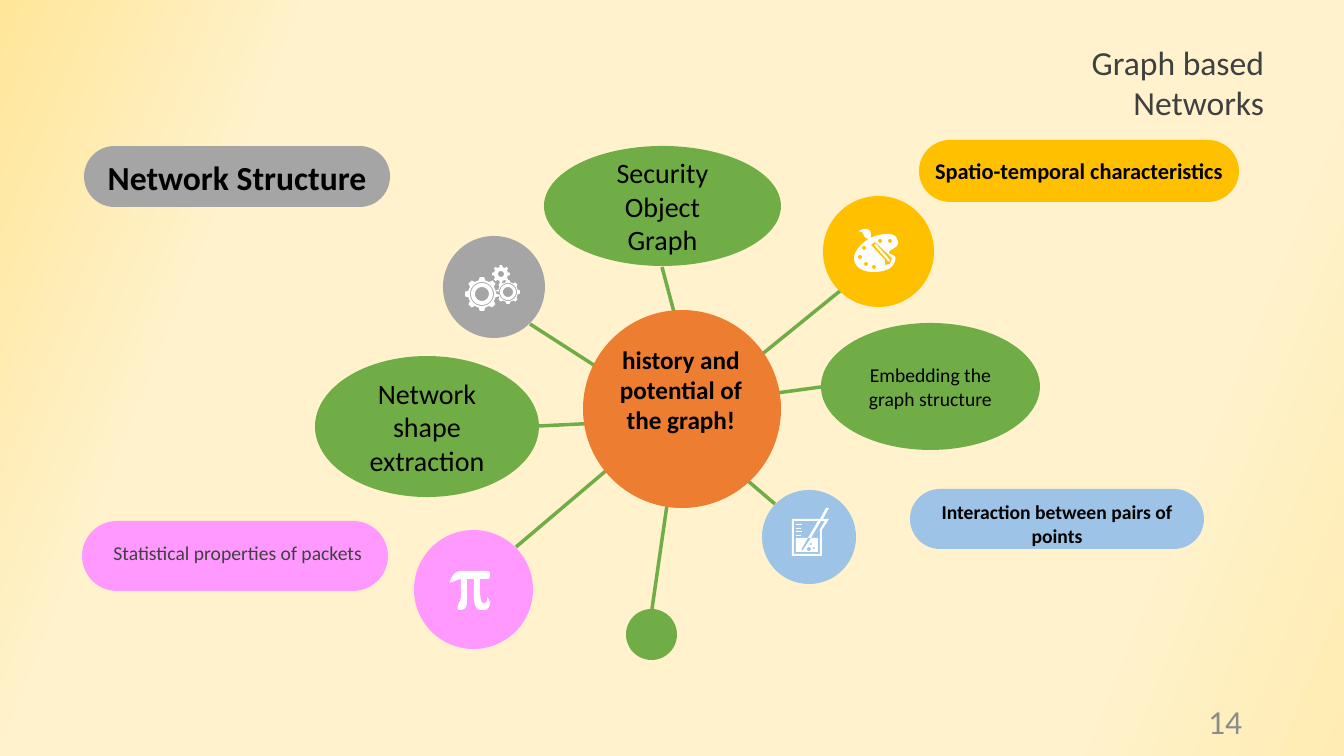
"""Build the graph based networks mind map slide."""
import copy
import math

import pptx
import pptx.dml.color
import pptx.enum.shapes
import pptx.enum.text
import pptx.oxml
import pptx.oxml.ns
import pptx.util

PX = 12192000 / 1344
FINE = 20
COLORS = {
    "green": "70AD47", "orange": "ED7D31", "gold": "FFC000", "gray": "A5A5A5",
    "pink": "FF99FF", "blue": "9DC3E6", "white": "FFFFFF", "black": "000000",
    "dark": "404040", "number": "8C8C8C",
}
BACKGROUND = [(0, "FFE699"), (0.19, "FFF2CC"), (0.83, "FFF2CC"), (1, "FFECB2")]
BACKGROUND_ANGLE = 22

SPOKES = [
    (662, 267, 699, 406), (821, 387, 644, 411), (840, 291, 681, 420),
    (530, 324, 670, 414), (516, 547, 647, 436), (682, 419, 539, 426),
    (681, 408, 652, 609), (673, 417, 775, 504),
]
NODES = [
    ((583, 310, 198, 198), "orange", "", 0),
    ((823, 196, 111, 111), "gold", "", 0),
    ((443, 236, 102, 102), "gray", "", 0),
    ((414, 530, 119, 119), "pink", "", 0),
    ((762, 490, 94, 94), "blue", "", 0),
    ((821, 323, 219, 127), "green", "Embedding the graph structure", 14),
    ((315, 356, 224, 141), "green", "Network shape extraction", 20),
    ((626, 609, 51, 51), "green", "", 0),
    ((544, 146, 237, 120), "green", "Security Object Graph", 20),
]
PILLS = [
    ((919, 140, 320, 62), "gold"), ((910, 489, 294, 60), "blue"),
    ((82, 521, 306, 70), "pink"), ((84, 146, 306, 61), "gray"),
]
LABELS = [
    ((950, 701, 302, 40), "14", 24, "number", "RIGHT", "MIDDLE", False),
    ((992, 36, 282, 92), "Graph based Networks", 24, "dark", "RIGHT", "MIDDLE", False),
    ((919, 152, 320, 37), "Spatio-temporal characteristics", 16, "black", "CENTER", "TOP", True),
    ((919, 495, 276, 58), "Interaction between pairs of points", 14, "black", "CENTER", "TOP", True),
    ((85, 536, 287, 34), "Statistical properties of packets", 14, "dark", "RIGHT", "TOP", False),
    ((94, 152, 286, 50), "Network Structure", 24, "black", "CENTER", "TOP", True),
    ((592, 339, 178, 102), "history and potential of the graph!", 18, "black", "CENTER", "TOP", True),
]

PALETTE = [
    [(887, 234), (891, 234, 896, 235, 897, 239), (902, 248, 889, 249, 889, 252),
     (888, 256, 898, 253, 895, 261), (893, 267, 890, 269, 883, 271),
     (875, 273, 859, 273, 855, 263), (851, 254, 860, 245, 867, 240),
     (873, 236, 881, 234, 887, 234)],
    [(865, 229), (871, 229, 871, 233, 871, 236), (871, 239, 866, 240, 864, 236),
     (863, 232, 862, 232, 858, 231), (861, 230, 863, 229, 865, 229)],
    [(871, 245), (875, 242), (892, 258), (890, 264), (885, 265), (885, 260)],
    [(876, 244), (890, 260), (889, 262), (874, 245)],
]
PAINT_WELLS = [(874, 267, 2), (866, 264, 2), (860, 257, 2),
               (864, 248, 2), (880, 241, 2), (890, 241, 2)]
PI_SIGN = [
    [(461, 571), (487, 571), (489, 571, 490, 572, 490, 574), (490, 576),
     (490, 578, 489, 579, 487, 579), (480, 579), (480, 589),
     (480, 593, 480, 595, 481, 600), (482, 606, 489, 603, 487, 597),
     (493, 602, 489, 611, 483, 610), (480, 610, 476, 611, 474, 601),
     (474, 579), (467, 579), (467, 602), (467, 608, 464, 610, 460, 610),
     (458, 610, 457, 609, 458, 606), (459, 601, 461, 601, 461, 596),
     (461, 579), (455, 580, 450, 584, 450, 582), (451, 577, 455, 571, 461, 571)],
]
BEAKER = [
    [(826, 508), (829, 508), (823, 519), (829, 519), (822, 530), (822, 556),
     (792, 556), (792, 519), (820, 519)],
    [(818, 521), (794, 521), (794, 554), (820, 554), (820, 529), (825, 521),
     (821, 521), (811, 538), (808, 538)],
    [(796, 538), (808, 538), (801, 550), (803, 550), (811, 538), (818, 538),
     (818, 552), (796, 552)],
]
BEAKER += [[(796, y), (right, y), (right, y + 1), (796, y + 1)]
           for y, right in [(524, 802), (528, 801), (531, 802), (535, 801)]]
BUBBLES = [(809, 549, 2), (811, 544, 1), (814, 548, 1)]
GEARS = [(482, 294, 17, 14, (12, 11, 7)), (508, 292, 12, 10, (9, 8, 5)),
         (501, 274, 9, 7, (3,))]
TEETH = 8


def rgb(name):
    return pptx.dml.color.RGBColor.from_string(COLORS[name])


def box(bounds):
    return [round(value * PX) for value in bounds]


def polar(x, y, radius, turn):
    angle = 2 * math.pi * turn
    return x + radius * math.cos(angle), y + radius * math.sin(angle)


def circle(x, y, radius):
    return [polar(x, y, radius, step / 24) for step in range(24)]


def gear(x, y, tip, root):
    profile = [(-0.3, root), (-0.17, tip), (0.17, tip), (0.3, root)]
    return [polar(x, y, radius, (tooth + offset) / TEETH)
            for tooth in range(TEETH) for offset, radius in profile]


def flatten(outline):
    points = []
    for part in outline:
        if len(part) == 2:
            points.append(part)
            continue
        nodes = [points[-1], part[:2], part[2:4], part[4:]]
        for step in range(1, 9):
            t = step / 8
            weights = [(1 - t) ** 3, 3 * t * (1 - t) ** 2, 3 * t * t * (1 - t), t ** 3]
            points.append(tuple(sum(w * node[axis] for w, node in zip(weights, nodes))
                                for axis in (0, 1)))
    return points


def paint(shape, color):
    shape.shadow.inherit = False
    shape.fill.solid()
    shape.fill.fore_color.rgb = rgb(color)
    shape.line.fill.background()


def write(shape, text, size, color="black", align="CENTER", anchor="MIDDLE", bold=False):
    frame = shape.text_frame
    frame.word_wrap = True
    frame.vertical_anchor = getattr(pptx.enum.text.MSO_ANCHOR, anchor)
    paragraph = frame.paragraphs[0]
    paragraph.alignment = getattr(pptx.enum.text.PP_ALIGN, align)
    run = paragraph.add_run()
    run.text = text
    for key, value in {"name": "Calibri", "size": pptx.util.Pt(size), "bold": bold}.items():
        setattr(run.font, key, value)
    run.font.color.rgb = rgb(color)


def draw_icon(shapes, contours):
    scaled = [[(x * FINE, y * FINE) for x, y in contour] for contour in contours]
    builder = shapes.build_freeform(*scaled[0][0], scale=PX / FINE)
    for index, contour in enumerate(scaled):
        if index:
            builder.move_to(*contour[0])
        builder.add_line_segments(contour[1:], close=True)
    paint(builder.convert_to_shape(), "white")


def set_background(slide):
    fill = slide.background.fill
    fill.gradient()
    fill.gradient_angle = 360 - BACKGROUND_ANGLE
    stops = slide.element.xpath(".//a:gsLst")[0]
    for _ in range(len(BACKGROUND) - len(stops)):
        stops.append(copy.deepcopy(stops[0]))
    for stop, (position, color) in zip(fill.gradient_stops, BACKGROUND):
        stop.position = position
        stop.color.rgb = pptx.dml.color.RGBColor.from_string(color)


def main():
    presentation = pptx.Presentation()
    presentation.slide_width, presentation.slide_height = box((1344, 756))
    slide = presentation.slides.add_slide(presentation.slide_layouts[6])
    set_background(slide)
    shapes = slide.shapes
    kinds = pptx.enum.shapes.MSO_SHAPE

    for spoke in SPOKES:
        connector = shapes.add_connector(pptx.enum.shapes.MSO_CONNECTOR.STRAIGHT, *box(spoke))
        connector.line.color.rgb = rgb("green")
        connector.line.width = pptx.util.Pt(2.5)
        connector.element.spPr.append(pptx.oxml.parse_xml(
            f"<a:effectLst {pptx.oxml.ns.nsdecls('a')}/>"))
    for bounds, color, text, size in NODES:
        node = shapes.add_shape(kinds.OVAL, *box(bounds))
        paint(node, color)
        if text:
            write(node, text, size)
    for bounds, color in PILLS:
        pill = shapes.add_shape(kinds.ROUNDED_RECTANGLE, *box(bounds))
        pill.adjustments[0] = 0.5
        paint(pill, color)
    for bounds, *style in LABELS:
        write(shapes.add_textbox(*box(bounds)), *style)

    gears = []
    for x, y, tip, root, rings in GEARS:
        gears += [gear(x, y, tip, root)] + [circle(x, y, ring) for ring in rings]
    draw_icon(shapes, [flatten(part) for part in PALETTE] + [circle(*well) for well in PAINT_WELLS])
    draw_icon(shapes, gears)
    draw_icon(shapes, [flatten(part) for part in PI_SIGN])
    draw_icon(shapes, BEAKER + [circle(*bubble) for bubble in BUBBLES])
    presentation.save("out.pptx")


if __name__ == "__main__":
    main()
